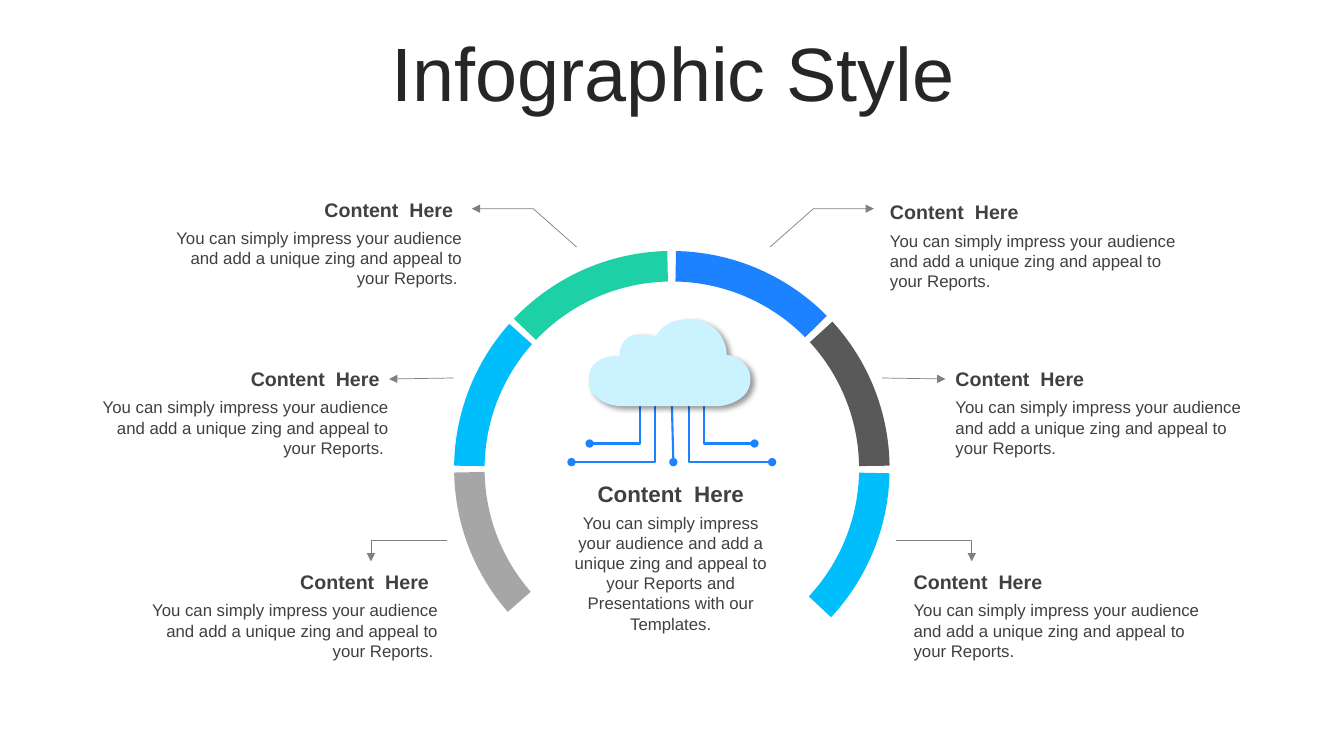
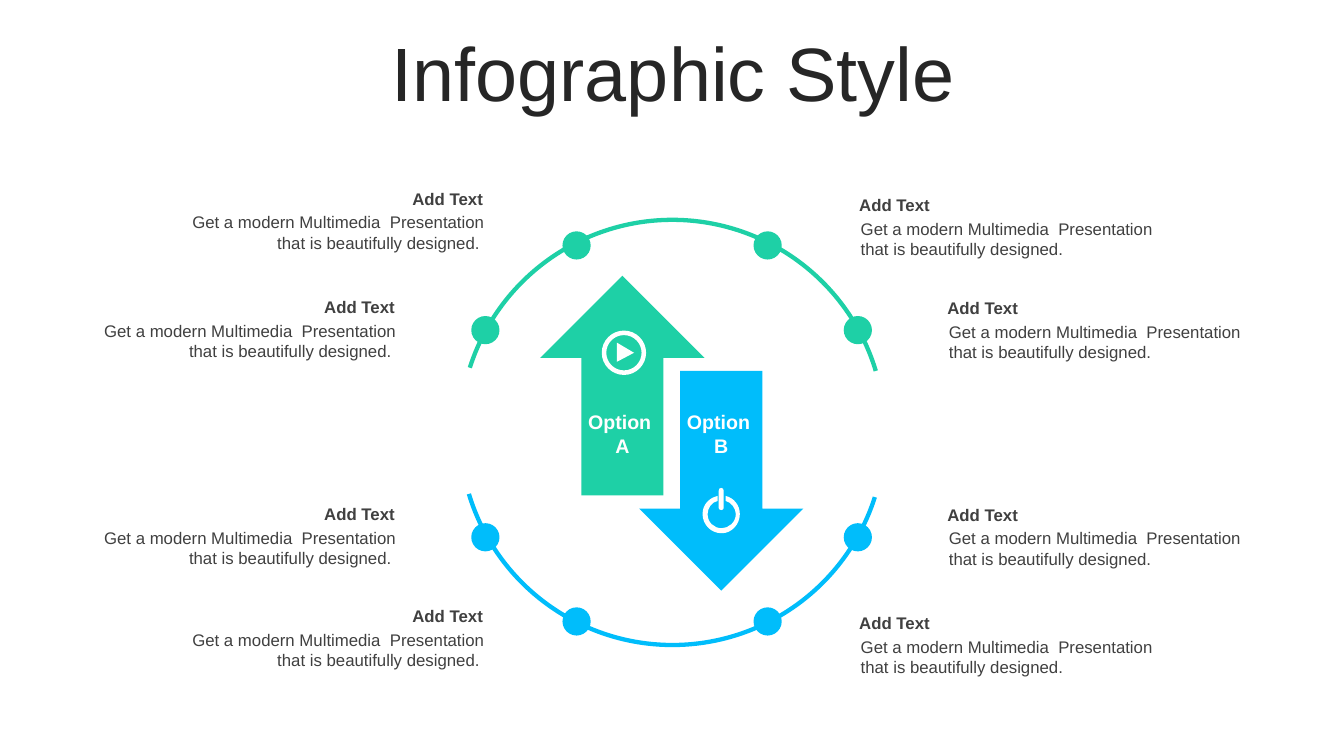
from lxml import etree
from pptx import Presentation
from pptx.dml.color import RGBColor
from pptx.enum.shapes import MSO_CONNECTOR, MSO_SHAPE
from pptx.enum.text import MSO_ANCHOR, MSO_AUTO_SIZE, PP_ALIGN
from pptx.oxml.ns import qn
from pptx.util import Inches, Pt

ARC, OVAL = MSO_SHAPE.BLOCK_ARC, MSO_SHAPE.OVAL
UP, DOWN = MSO_SHAPE.UP_ARROW, MSO_SHAPE.DOWN_ARROW
STRAIGHT, ELBOW = MSO_CONNECTOR.STRAIGHT, MSO_CONNECTOR.ELBOW
LEFT, CENTER, RIGHT = PP_ALIGN.LEFT, PP_ALIGN.CENTER, PP_ALIGN.RIGHT
TOP, MIDDLE = MSO_ANCHOR.TOP, MSO_ANCHOR.MIDDLE
FIT, NO_FIT = MSO_AUTO_SIZE.SHAPE_TO_FIT_TEXT, MSO_AUTO_SIZE.NONE

FONT = "Arial"
INK, TEXT, WHITE = "262626", "404040", "FFFFFF"
SKY, GREEN, BLUE = "00BDFB", "1ED0A6", "1C82FF"
DARK, GREY, LEADER, CLOUD = "595959", "A6A6A6", "808080", "CBF2FF"

# Every length counts cells of a grid 0.1 inch wide and high
CELL = Inches(0.1)
COLS, ROWS = 133.33, 75
DEG = 0.6  # one degree in block arc adjustment units


def write(tf, text, size=12, color=TEXT, bold=False, align=LEFT, anchor=TOP, fit=FIT):
    tf.word_wrap = True
    tf.auto_size = fit
    tf.vertical_anchor = anchor
    tf.text = text
    for p in tf.paragraphs:
        p.alignment = align
        f = p.runs[0].font
        f.name, f.size, f.bold = FONT, Pt(size), bold
        f.color.rgb = RGBColor.from_string(color)


def paint(sp, fill=None, line=None, width=0.5, tail=None):
    spPr = sp._element.spPr
    if fill:
        sp.fill.solid()
        sp.fill.fore_color.rgb = RGBColor.from_string(fill)
    elif hasattr(sp, "fill"):
        sp.fill.background()
    if line:
        sp.line.color.rgb = RGBColor.from_string(line)
        sp.line.width = Pt(width)
    else:
        sp.line.fill.background()
    if tail:
        etree.SubElement(spPr.find(qn("a:ln")), qn("a:tailEnd"), type=tail)
    if hasattr(sp, "shadow"):
        sp.shadow.inherit = False
    else:
        etree.SubElement(spPr, qn("a:effectLst"))


prs = Presentation()
prs.slide_width, prs.slide_height = int(COLS * CELL), ROWS * CELL

# Shared title
slides = [prs.slides.add_slide(prs.slide_layouts[5]) for _ in range(2)]
for s in slides:
    t = s.shapes.title
    t.left, t.top, t.width, t.height = [int(v * CELL) for v in (3.5, 3.7, 126.6, 7.9)]
    write(t.text_frame, "Infographic Style", size=54, color=INK, align=CENTER,
          anchor=MIDDLE, fit=NO_FIT)
    t.text_frame.paragraphs[0].line_spacing = 0.9
cloud_slide, options_slide = [s.shapes for s in slides]

# Slide 1: ring of six arcs, given by start and end angle
for start, end, color in [(1.2, 43, SKY), (138.9, 179, GREY), (180.8, 221.7, SKY),
                          (317.5, 359.2, DARK), (223.5, 268.8, GREEN),
                          (271.1, 315.4, BLUE)]:
    sp = cloud_slide.add_shape(ARC, *[int(v * CELL) for v in (45.05, 24.9, 43.2, 43.2)])
    for i, value in enumerate((start * DEG, end * DEG, 0.07)):
        sp.adjustments[i] = value
    paint(sp, fill=color)

# Slides 1 and 2: all texts, as (column, row, width, height, text, format)
HEAD = "Content  Here"
BODY = "You can simply impress your audience and add a unique zing and appeal to your Reports."
NOTE = "Get a modern Multimedia  Presentation that is beautifully designed."
cloud_texts = [
    (55.15, 47.1, 22.8, 3.7, HEAD, dict(size=16, bold=True, align=CENTER)),
    (55.15, 50.35, 22.8, 13.1, BODY[:-1] + " and Presentations with our Templates.",
     dict(align=CENTER)),
]
for x, y in [(87.3, 19.35), (93.8, 35.9), (89.65, 56.05)]:
    cloud_texts += [(x, y, 30.9, 3.4, HEAD, dict(size=14, bold=True)),
                    (x, y + 3, 30.9, 7.1, BODY, {})]
for x, y in [(16.35, 19.1), (9.05, 35.9), (13.95, 56.05)]:
    cloud_texts += [(x, y, 29.6, 3.4, HEAD, dict(size=14, bold=True, align=RIGHT)),
                    (x, y + 3, 30.5, 7.1, BODY + " ", dict(align=RIGHT))]

option_texts = []
for x, y, align in [(16.1, 18.2, RIGHT), (7.35, 28.95, RIGHT), (7.35, 49.5, RIGHT),
                    (16.1, 59.65, RIGHT), (84.25, 18.85, LEFT), (93, 29.05, LEFT),
                    (93, 49.55, LEFT), (84.25, 60.3, LEFT)]:
    note = NOTE + " " if align == RIGHT else NOTE
    option_texts += [(x, y, 32.8, 3, "Add Text", dict(bold=True, align=align)),
                     (x + 0.15, y + 2.35, 32.8, 5, note, dict(align=align))]

# Slide 1: bent leaders, then straight leaders
for points in [[(76.4, 24.5), (80.7, 20.7), (86.7, 20.7)],
               [(57.2, 24.5), (52.9, 20.7), (46.8, 20.7)],
               [(44.3, 53.6), (36.8, 53.6), (36.8, 55.7)],
               [(88.9, 53.6), (96.4, 53.6), (96.4, 55.7)]]:
    points = [(x * CELL, y * CELL) for x, y in points]
    fb = cloud_slide.build_freeform(*points[0], scale=1.0)
    fb.add_line_segments(points[1:], close=False)
    paint(fb.convert_to_shape(), line=LEADER, tail="triangle")
for x1, x2 in [(87.5, 93.8), (45, 38.6)]:
    ends = [int(v * CELL) for v in (x1, 37.5, x2, 37.6)]
    paint(cloud_slide.add_connector(STRAIGHT, *ends), line=LEADER, tail="triangle")

# Slide 1: circuit lines below the cloud, with the bend as a percentage of the width
for kind, x1, y1, x2, y2, bend in [(ELBOW, 69.8, 39.9, 74.85, 44, 0.7),
                                   (ELBOW, 68.1, 39.3, 76.6, 45.85, 2.9),
                                   (STRAIGHT, 66.6, 38.1, 66.8, 45.85, 0),
                                   (ELBOW, 63.5, 39.9, 58.5, 44, 0.7),
                                   (ELBOW, 65.25, 39.3, 56.7, 45.85, 2.9)]:
    cn = cloud_slide.add_connector(kind, *[int(v * CELL) for v in (x1, y1, x2, y2)])
    if bend:
        av = cn._element.spPr.find(qn("a:prstGeom")).find(qn("a:avLst"))
        etree.SubElement(av, qn("a:gd"), name="adj1", fmla=f"val {int(bend * 1000)}")
    paint(cn, line=BLUE, width=1.5, tail="oval")

# Slide 2: arrows, half rings and dots, as (kind, box, colour, adjustments, turn)
HALF = (197.7 * DEG, 343.2 * DEG, 0.01)
parts = [
    (UP, (53.6, 27.35, 16.3, 21.8), GREEN, (), 0),
    (DOWN, (63.4, 36.8, 16.3, 21.8), SKY, (), 0),
    (ARC, (45.4, 21.6, 42.6, 42.6), SKY, HALF, 180),
    (ARC, (45.4, 21.6, 42.6, 42.6), GREEN, HALF, 0),
]
for color, rows in [(GREEN, (31.35, 22.95)), (SKY, (51.9, 60.25))]:
    for y, columns in zip(rows, [(46.75, 83.7), (55.8, 74.75)]):
        parts += [(OVAL, (x, y, 2.8, 2.8), color, (), 0) for x in columns]
for kind, box, color, adjustments, turn in parts:
    sp = options_slide.add_shape(kind, *[int(v * CELL) for v in box])
    for i, value in enumerate(adjustments):
        sp.adjustments[i] = value
    sp.rotation = turn
    paint(sp, fill=color)

# Curved outlines: a contour is a start point, then steps of one point (line)
# or of two handles and an end point (curve)
cloud = [[
    [(68.5, 31.7)],
    [(68.6, 31.7), (68.7, 31.7), (68.9, 31.7)],
    [(71.4, 32.1), (72.1, 34.1), (72.1, 35.2)],
    [(74.4, 35.7), (74.6, 37.3), (74.4, 38.1)],
    [(74.1, 39.8), (71.9, 40.3), (71.2, 40.3)],
    [(61.5, 40.3)],
    [(60.3, 40.2), (59.5, 39.8), (58.8, 39)],
    [(58.2, 38.2), (58.4, 37), (58.7, 36.5)],
    [(58.9, 36), (60.1, 35.1), (61.5, 35.4)],
    [(61.4, 34.5), (61.8, 33.8), (62.5, 33.4)],
    [(63.3, 33), (64.3, 33.2), (65, 33.5)],
    [(65.3, 32.8), (66.3, 31.6), (68.5, 31.7)],
]]
power = [[
    [(71.2, 49.2)],
    [(71.2, 49.7)],
    [(70.6, 49.8), (70.2, 50.4), (70.2, 51)],
    [(70.2, 51.8), (70.8, 52.4), (71.6, 52.4)],
    [(72.3, 52.4), (73, 51.8), (73, 51)],
    [(73, 50.4), (72.5, 49.8), (72, 49.7)],
    [(72, 49.2)],
    [(72.8, 49.4), (73.4, 50.1), (73.4, 51)],
    [(73.4, 52), (72.6, 52.9), (71.6, 52.9)],
    [(70.5, 52.9), (69.7, 52), (69.7, 51)],
    [(69.7, 50.1), (70.3, 49.4), (71.2, 49.2)],
], [
    [(71.55, 48.4)],
    [(71.7, 48.4), (71.8, 48.5), (71.8, 48.7)],
    [(71.8, 50.4)],
    [(71.8, 50.5), (71.7, 50.6), (71.55, 50.6)],
    [(71.4, 50.6), (71.3, 50.5), (71.3, 50.4)],
    [(71.3, 48.7)],
    [(71.3, 48.5), (71.4, 48.4), (71.55, 48.4)],
]]
play = [[[(61.2, 34)], [(62.9, 35)], [(61.2, 35.9)]]]
cx, cy, BOW = 61.9, 35, 0.55  # centre of the play ring, handle length per radius
for rad in (1.75, 2.2):
    k = rad * BOW
    play.append([
        [(cx, cy - rad)],
        [(cx - k, cy - rad), (cx - rad, cy - k), (cx - rad, cy)],
        [(cx - rad, cy + k), (cx - k, cy + rad), (cx, cy + rad)],
        [(cx + k, cy + rad), (cx + rad, cy + k), (cx + rad, cy)],
        [(cx + rad, cy - k), (cx + k, cy - rad), (cx, cy - rad)],
    ])
for shapes, color, contours in [(options_slide, WHITE, power), (options_slide, WHITE, play),
                                (cloud_slide, CLOUD, cloud)]:
    ends = [[(x * CELL, y * CELL) for x, y in (step[-1] for step in c)] for c in contours]
    fb = shapes.build_freeform(*ends[0][0], scale=1.0)
    fb.add_line_segments(ends[0][1:], close=True)
    for contour in ends[1:]:
        fb.move_to(*contour[0])
        fb.add_line_segments(contour[1:], close=True)
    sp = fb.convert_to_shape()
    steps = [step for c in contours for step in c[1:]]
    for node, step in zip(list(sp._element.iter(qn("a:lnTo"))), steps):
        if len(step) == 3:
            curve = etree.Element(qn("a:cubicBezTo"))
            for x, y in step:
                etree.SubElement(curve, qn("a:pt"), x=str(int(x * CELL - sp.left)),
                                 y=str(int(y * CELL - sp.top)))
            node.getparent().replace(node, curve)
    paint(sp, fill=color)

# Slide 1: soft shadow of the cloud, the last outline drawn
shadow = etree.SubElement(sp._element.spPr.find(qn("a:effectLst")), qn("a:outerShdw"),
                          blurRad=str(Pt(4)), dist=str(Pt(3)), dir="2700000",
                          algn="tl", rotWithShape="0")
black = etree.SubElement(shadow, qn("a:srgbClr"), val="000000")
etree.SubElement(black, qn("a:alpha"), val="40000")

# Slide 2: labels on the arrows
for x, letter in [(57.2, "A"), (67, "B")]:
    option_texts.append((x, 40.15, 9.1, 5.7, f"Option \n{letter}",
                         dict(size=14, color=WHITE, bold=True, align=CENTER, anchor=MIDDLE)))

# Place the texts of both slides
for shapes, texts in [(cloud_slide, cloud_texts), (options_slide, option_texts)]:
    for x, y, w, h, text, style in texts:
        tb = shapes.add_textbox(*[int(v * CELL) for v in (x, y, w, h)])
        write(tb.text_frame, text, **style)

prs.save("out.pptx")
